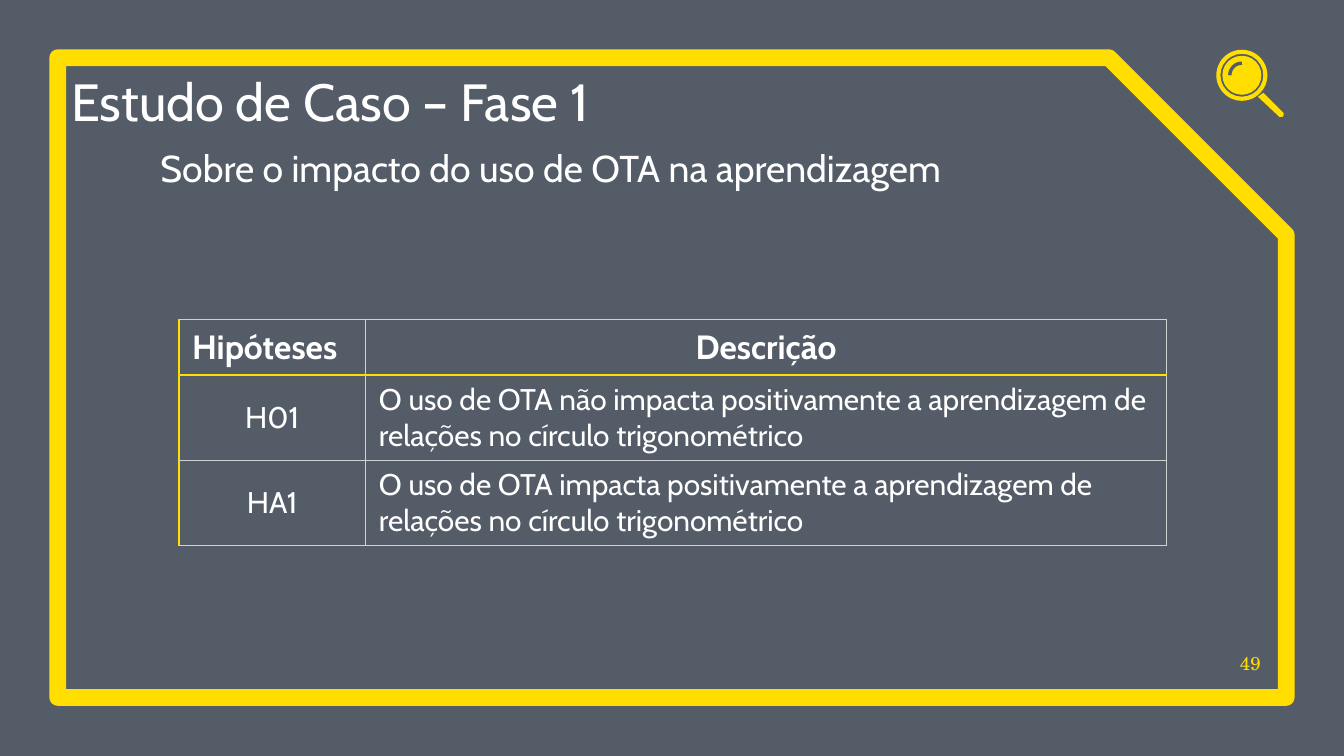
from lxml.etree import SubElement
from pptx import Presentation
from pptx.dml.color import RGBColor
from pptx.enum.shapes import MSO_SHAPE
from pptx.enum.text import MSO_ANCHOR, PP_ALIGN
from pptx.oxml.ns import qn
from pptx.util import Inches, Pt

CELL = 0.1  # grid cell in inches: the slide is 100 columns by 56.25 rows
COLUMNS, ROWS = 100, 56.25
YELLOW, WHITE, NAVY = "FFDE00", "FFFFFF", "040F20"
SLATE, PALE = "545B66", "D0D3D6"


def color(hex_string):
    return RGBColor.from_string(hex_string)


def grid(*cells):
    return [Inches(count * CELL) for count in cells]


class SlideBuilder:
    font_name = "Cabin"

    def __init__(self, slide):
        self.slide = slide

    def shape(self, kind, box, fill=None, line=None, width=0, adjustments=()):
        shape = self.slide.shapes.add_shape(kind, *grid(*box))
        for index, value in enumerate(adjustments):
            shape.adjustments[index] = value
        self.paint(shape, fill, line, width)
        return shape

    def paint(self, shape, fill, line=None, width=0):
        shape.shadow.inherit = False
        if fill:
            shape.fill.solid()
            shape.fill.fore_color.rgb = color(fill)
        else:
            shape.fill.background()
        if line:
            shape.line.color.rgb = color(line)
            shape.line.width = Pt(width)
        else:
            shape.line.fill.background()

    def polygon(self, points, fill):
        corners = [grid(*point) for point in points]
        builder = self.slide.shapes.build_freeform(*corners[0], scale=1.0)
        builder.add_line_segments(corners[1:], close=True)
        self.paint(builder.convert_to_shape(), fill)

    def set_text(self, frame, text, size, align, ink=WHITE, font_name=None, bold=False):
        paragraph = frame.paragraphs[0]
        paragraph.text = text
        paragraph.alignment = align
        font = paragraph.font
        font.size, font.bold = Pt(size), bold
        font.color.rgb = color(ink)
        font.name = font_name or self.font_name
        return paragraph

    def text(self, box, text, size, align, shadow=False, **style):
        frame = self.slide.shapes.add_textbox(*grid(*box)).text_frame
        frame.word_wrap = True
        frame.vertical_anchor = MSO_ANCHOR.BOTTOM
        frame.margin_left = frame.margin_right = 0
        frame.margin_top = frame.margin_bottom = 0
        paragraph = self.set_text(frame, text, size, align, **style)
        if shadow:
            self.text_shadow(paragraph)

    def text_shadow(self, paragraph):
        for run in paragraph.runs:
            effects = SubElement(run._r.get_or_add_rPr(), qn("a:effectLst"))
            shadow = SubElement(effects, qn("a:outerShdw"), blurRad="38100",
                                dist="38100", dir="2700000", algn="tl")
            ink = SubElement(shadow, qn("a:srgbClr"), val="000000")
            SubElement(ink, qn("a:alpha"), val="43000")

    def border(self, cell, side, ink, width):
        line = SubElement(cell._tc.get_or_add_tcPr(), qn(f"a:ln{side}"), w=str(Pt(width)))
        SubElement(SubElement(line, qn("a:solidFill")), qn("a:srgbClr"), val=ink)

    def table(self, box, widths, heights, rows):
        table = self.slide.shapes.add_table(len(rows), len(widths), *grid(*box)).table
        table.first_row = table.horz_banding = False
        for column, width in zip(table.columns, grid(*widths)):
            column.width = width
        for row, height in zip(table.rows, grid(*heights)):
            row.height = height
        for r, texts in enumerate(rows):
            for c, text in enumerate(texts):
                cell = table.cell(r, c)
                cell.vertical_anchor = MSO_ANCHOR.MIDDLE
                # The first column's header and the descriptions sit left
                align = PP_ALIGN.LEFT if (r == 0) == (c == 0) else PP_ALIGN.CENTER
                self.set_text(cell.text_frame, text, 16 if r else 18, align, bold=r == 0)
                # Yellow on the left edge and under the header, pale elsewhere
                strong = {"L": c == 0, "R": False, "T": r == 1, "B": r == 0}
                for side, is_strong in strong.items():
                    self.border(cell, side, *((YELLOW, 1) if is_strong else (PALE, 0.5)))
                cell.fill.background()

    def magnifier(self, x, y):
        def disc(radius):
            return x - radius, y - radius, 2 * radius, 2 * radius

        self.shape(MSO_SHAPE.DONUT, disc(1.9), YELLOW, adjustments=[0.08])
        self.shape(MSO_SHAPE.OVAL, disc(1.45), YELLOW)
        # Glint from 180 to 270 degrees
        self.shape(MSO_SHAPE.ARC, disc(0.9), line=SLATE, width=1.8, adjustments=[108, 162])
        handle = [(1.6, 1.3), (3.1, 2.8), (3.1, 3), (3, 3.1), (2.8, 3.1), (1.2, 1.6)]
        self.polygon([(x + dx, y + dy) for dx, dy in handle], YELLOW)


def main():
    presentation = Presentation()
    presentation.slide_width, presentation.slide_height = grid(COLUMNS, ROWS)
    builder = SlideBuilder(presentation.slides.add_slide(presentation.slide_layouts[6]))

    # Translucent backdrop and frame
    backdrop = builder.shape(MSO_SHAPE.RECTANGLE, (0, 0, COLUMNS, ROWS), NAVY)
    ink = backdrop._element.spPr.find(qn("a:solidFill"))[0]
    SubElement(ink, qn("a:alpha"), val="68000")
    builder.shape(MSO_SHAPE.SNIP_1_RECTANGLE, (4.3, 4.3, 91.4, 47.6),
                  line=YELLOW, width=9, adjustments=[0.277])

    # Slide number, title and subtitle
    builder.text((91.1, 47.4, 2.7, 2.8), "49", 10, PP_ALIGN.RIGHT,
                 ink=YELLOW, font_name="TeX Gyre Schola")
    builder.text((5.3, 4.5, 73.5, 5.3), "Estudo de Caso – Fase 1", 28,
                 PP_ALIGN.LEFT, shadow=True)
    builder.text((7, 8.7, 68, 5.4), "Sobre o impacto do uso de OTA na aprendizagem", 20,
                 PP_ALIGN.CENTER, shadow=True)

    builder.magnifier(92.4, 5.6)

    # Hypotheses
    builder.table((13.3, 23.8, 73.5, 16.7), (13.9, 59.6), (4.1, 6.3, 6.3), [
        ("Hipóteses", "Descrição"),
        ("H01", "O uso de OTA não impacta positivamente a aprendizagem "
                "de relações no círculo trigonométrico"),
        ("HA1", "O uso de OTA impacta positivamente a aprendizagem "
                "de relações no círculo trigonométrico"),
    ])

    presentation.save("out.pptx")


if __name__ == "__main__":
    main()
